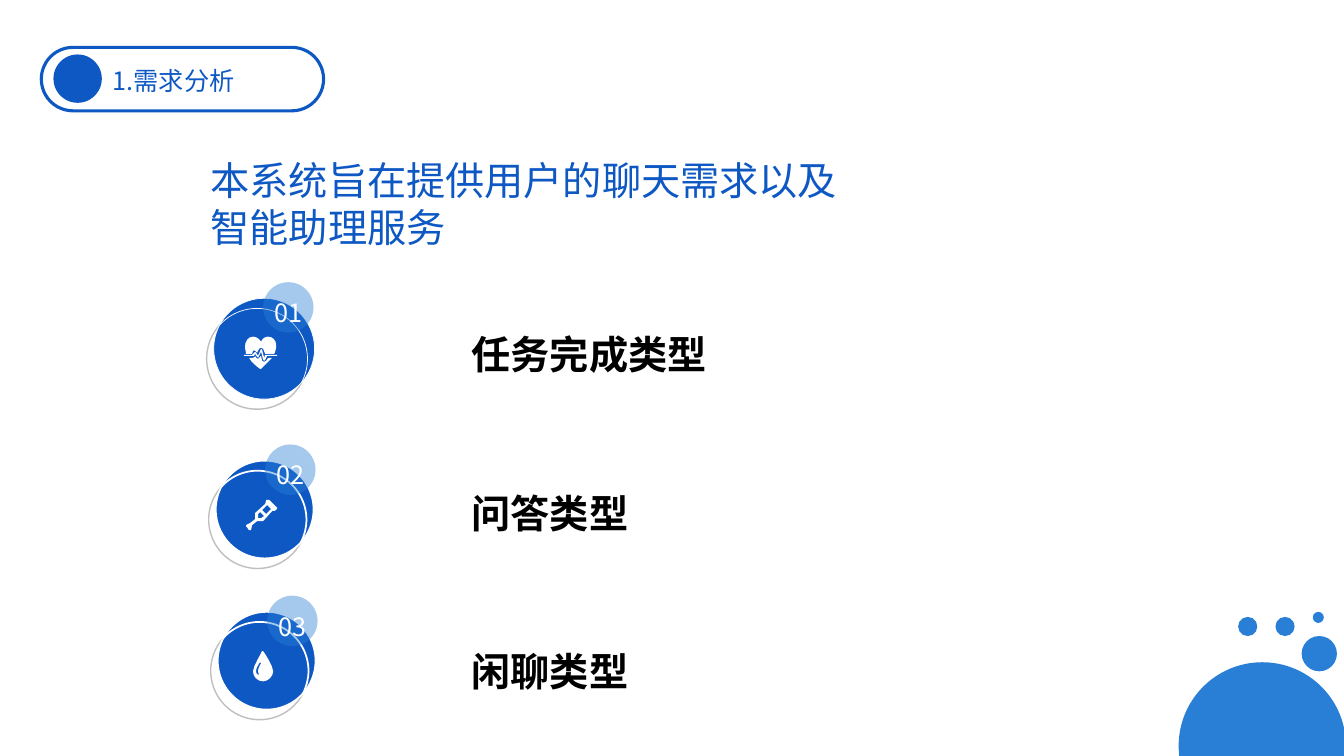
"""Requirements slide: section tag, goal statement and three numbered request types."""
from math import acos, atan2, degrees, hypot

from lxml import etree
from pptx import Presentation
from pptx.dml.color import RGBColor
from pptx.enum.shapes import MSO_SHAPE
from pptx.enum.text import MSO_AUTO_SIZE, PP_ALIGN
from pptx.oxml.ns import qn
from pptx.util import Inches, Pt

OVAL, PILL, ARC = MSO_SHAPE.OVAL, MSO_SHAPE.ROUNDED_RECTANGLE, MSO_SHAPE.ARC
GROW = MSO_AUTO_SIZE.SHAPE_TO_FIT_TEXT
LEFT, CENTER, JUSTIFY = PP_ALIGN.LEFT, PP_ALIGN.CENTER, PP_ALIGN.JUSTIFY
BLUE = RGBColor(0x0E, 0x58, 0xC4)
SKY = RGBColor(0x29, 0x7F, 0xD5)
GRAY = RGBColor(0xBF, 0xBF, 0xBF)
WHITE = RGBColor(0xFF, 0xFF, 0xFF)
BLACK = RGBColor(0, 0, 0)
FONT = "Noto Sans CJK SC"

SECTION = "1.需求分析"
GOAL = "本系统旨在提供用户的聊天需求以及智能助理服务"

HEART = [
    [[(22, 24), (20, 25), (18, 24), (17, 19), (15, 21), (14, 22), (12, 21),
      (11, 19), (11, 20), (9, 21), (5, 21), (7, 25, 13, 30, 16, 32), (17, 32),
      (28, 21), (24, 21)]],
    [[(2, 17), (8, 17), (9, 14), (11, 14), (13, 16), (15, 12), (17, 11),
      (19, 12), (21, 17), (30, 17), (31, 15, 32, 12, 32, 9),
      (32, 3, 28, 0, 24, 0), (21, 0, 18, 2, 17, 5), (15, 2, 12, 0, 9, 0),
      (4, 0, 1, 5, 1, 10), (1, 12, 2, 15, 2, 17)]],
    [[(33, 18), (21, 18), (20, 21), (18, 13), (17, 12), (14, 19), (12, 16),
      (11, 15), (8, 18), (0, 18), (0, 19), (10, 19), (11, 17), (13, 20),
      (14, 21), (17, 15), (19, 23), (20, 24), (21, 23), (23, 19), (33, 19)]],
]
CRUTCH = [
    [[(30, 8), (23, 1), (20, 1), (19, 5), (9, 14), (9, 20), (4, 24), (0, 26),
      (0, 27), (3, 31), (5, 31), (6, 26), (11, 22), (17, 22), (26, 12),
      (28, 12), (30, 11), (31, 9)],
     [(20, 15), (16, 11), (21, 6), (25, 10)],
     [(15, 19), (12, 19), (12, 15), (14, 13), (18, 17)]],
]
DROP = [
    [[(10, 0), (9, 0), (9, 1, 0, 15, 0, 20), (0, 25, 4, 30, 10, 30),
      (15, 30, 20, 25, 20, 20), (20, 15, 11, 1, 10, 0)],
     [(8, 12), (5, 17, 5, 19, 5, 20), (6, 24), (4, 23, 3, 22, 3, 20),
      (3, 18, 4, 15, 7, 11)]],
]

TYPES = [
    dict(no="01", label="任务完成类型", label_y=3.23, ring=(2.05, 3.06), size=1.0,
         icon=HEART, icon_at=(2.42, 3.34), rim=0.5),
    dict(no="02", label="问答类型", label_y=4.81, ring=(2.07, 4.67), size=0.97,
         icon=CRUTCH, icon_at=(2.44, 4.95), rim=1.25),
    dict(no="03", label="闲聊类型", label_y=6.37, ring=(2.09, 6.17), size=0.97,
         icon=DROP, icon_at=(2.51, 6.46), rim=1.25),
]
BUBBLES = [(12.65, 6.12, 0.19), (11.69, 6.57, 1.66), (12.91, 6.31, 0.35),
           (12.28, 6.12, 0.19), (13.02, 6.07, 0.11)]
DISC_SHIFT = (0.07, -0.1)
BUBBLE_SHIFT = (0.56, -0.26)


def paint(sp, fill=None, line=None, width=1.25):
    sp.shadow.inherit = False
    if fill is None:
        sp.fill.background()
    else:
        sp.fill.solid()
        sp.fill.fore_color.rgb = fill
    if line is None:
        sp.line.fill.background()
    else:
        sp.line.color.rgb = line
        sp.line.width = Pt(width)
    return sp


def add_preset(s, kind, x, y, w, h, **style):
    return paint(s.shapes.add_shape(kind, Inches(x), Inches(y), Inches(w), Inches(h)), **style)


def add_outline(s, contours, **style):
    contours = [[(Inches(x), Inches(y)) for x, y in c] for c in contours]
    fb = s.shapes.build_freeform(*contours[0][0])
    for i, points in enumerate(contours):
        if i:
            fb.move_to(*points[0])
        fb.add_line_segments(points[1:], close=True)
    return paint(fb.convert_to_shape(), **style)


def add_text(s, text, x, y, w, h, size, color, align=LEFT, bold=False, inset=True):
    tf = s.shapes.add_textbox(Inches(x), Inches(y), Inches(w), Inches(h)).text_frame
    tf.word_wrap = True
    tf.auto_size = GROW
    if not inset:
        tf.margin_left = tf.margin_right = tf.margin_top = tf.margin_bottom = 0
    tf.text = text
    p = tf.paragraphs[0]
    p.alignment = align
    r = p.runs[0]
    r.font.size, r.font.bold, r.font.name = Pt(size), bold, FONT
    r.font.color.rgb = color
    etree.SubElement(r._r.get_or_add_rPr(), qn("a:ea")).set("typeface", FONT)


def flatten(outline, x, y, steps=4):
    points = [outline[0]]
    for seg in outline[1:]:
        if len(seg) == 2:
            points.append(seg)
            continue
        knots = (points[-1], seg[:2], seg[2:4], seg[4:])
        for i in range(1, steps + 1):
            t = i / steps
            weights = ((1 - t) ** 3, 3 * t * (1 - t) ** 2, 3 * t * t * (1 - t), t ** 3)
            points.append(tuple(sum(k[a] * b for k, b in zip(knots, weights)) for a in (0, 1)))
    return [(x + px / 100, y + py / 100) for px, py in points]


def add_badge(s, no, ring, size, icon, icon_at, rim):
    x, y = ring
    dx, dy = DISC_SHIFT
    add_preset(s, OVAL, x, y, size, size, line=GRAY, width=1)
    add_preset(s, OVAL, x + dx, y + dy, size, size, fill=BLUE, line=WHITE, width=rim)
    overlap = add_preset(s, ARC, x, y, size, size, line=WHITE, width=rim)
    middle, half = degrees(atan2(dy, dx)), degrees(acos(hypot(dx, dy) / size))
    for i, angle in enumerate((middle - half, middle + half)):
        overlap.adjustments[i] = angle % 360 * 0.6
    for part in icon:
        add_outline(s, [flatten(c, *icon_at) for c in part], fill=WHITE)
    bx, by = x + BUBBLE_SHIFT[0], y + BUBBLE_SHIFT[1]
    bubble = add_preset(s, OVAL, bx, by, 0.5, 0.5, fill=SKY)
    color = bubble._element.spPr.find(qn("a:solidFill"))[0]
    etree.SubElement(color, qn("a:alpha")).set("val", "42000")
    add_text(s, no, bx, by + 0.15, 0.5, 0.19, 18, WHITE, CENTER, inset=False)


def main():
    prs = Presentation()
    prs.slide_width, prs.slide_height = Inches(13.33), Inches(7.5)
    s = prs.slides.add_slide(prs.slide_layouts[6])
    for x, y, d in BUBBLES:
        add_preset(s, OVAL, x, y, d, d, fill=SKY)
    for t in TYPES:
        add_badge(s, t["no"], t["ring"], t["size"], t["icon"], t["icon_at"], t["rim"])
        add_text(s, t["label"], 4.58, t["label_y"], 6.67, 0.57, 28, BLACK, JUSTIFY, bold=True)
    add_text(s, GOAL, 1.99, 1.5, 6.67, 1.04, 28, BLUE)
    pill = add_preset(s, PILL, 0.41, 0.47, 2.8, 0.63, line=BLUE, width=2.25)
    pill.adjustments[0] = 0.5
    add_preset(s, OVAL, 0.53, 0.54, 0.48, 0.48, fill=BLUE)
    add_text(s, SECTION, 1.02, 0.6, 1.95, 0.4, 18, BLUE, JUSTIFY)
    prs.save("out.pptx")


if __name__ == "__main__":
    main()
